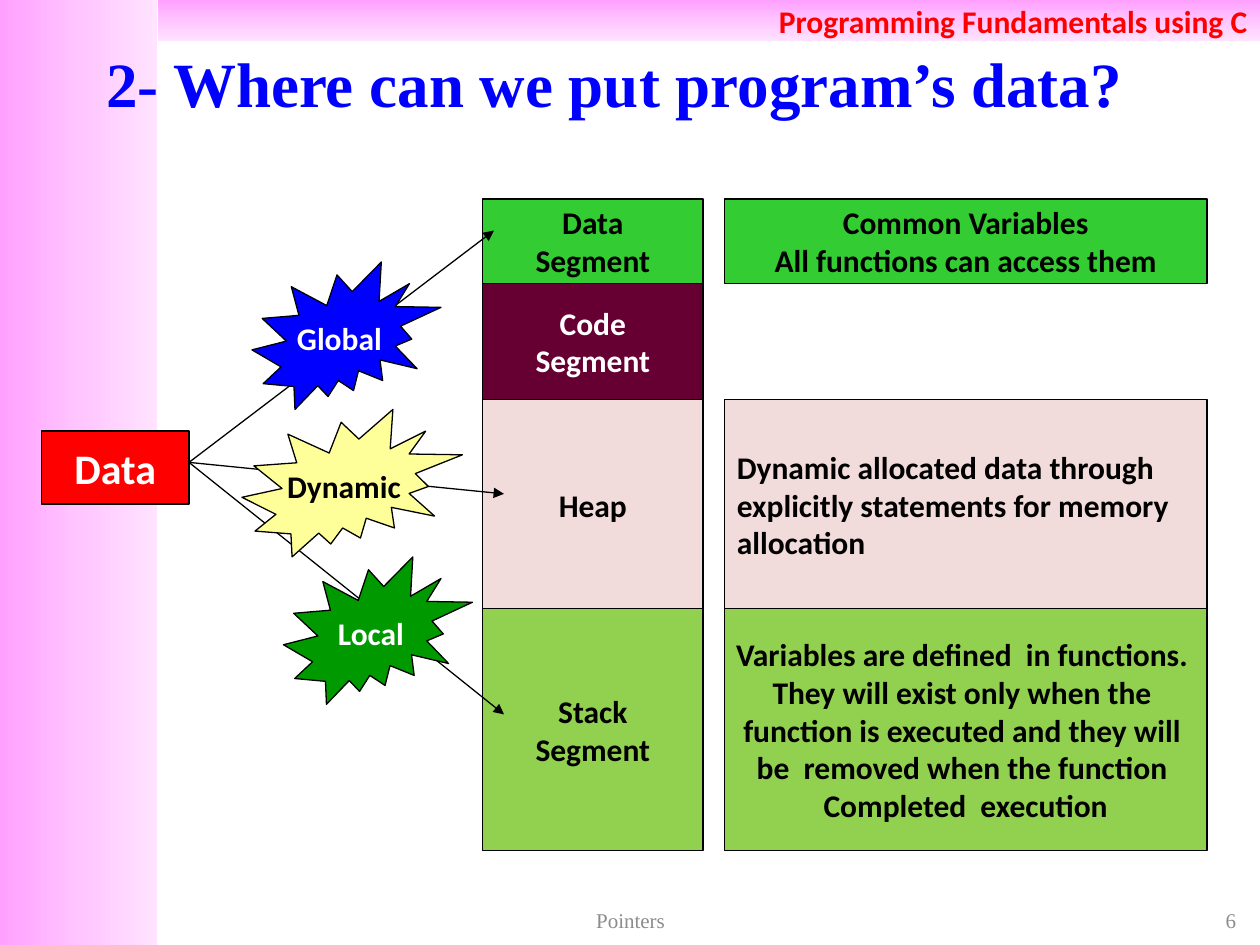
from copy import deepcopy
from dataclasses import dataclass
from typing import Optional

from lxml import etree
from pptx import Presentation
from pptx import util as u
from pptx.dml.color import RGBColor
from pptx.enum import shapes, text
from pptx.oxml import ns


@dataclass(frozen=True)
class Theme:
    sans: str = "Calibri"
    serif: str = "Times New Roman"
    black: str = "000000"
    white: str = "FFFFFF"
    red: str = "FF0000"
    blue: str = "0000FF"
    grey: str = "8C8C8C"
    green: str = "33CC33"
    wine: str = "660033"
    rose: str = "F2DCDB"
    lime: str = "92D050"
    leaf: str = "009900"
    cream: str = "FFFF99"
    fade: tuple = ("FFA0FF", "FFC5FF", "FFE3FF")
    title: int = 36
    large: int = 24
    body: int = 18
    small: int = 12
    line: float = 0.75


T = Theme()
KIND = shapes.MSO_SHAPE
ALIGN = text.PP_ALIGN
MID = text.MSO_ANCHOR.MIDDLE


@dataclass(frozen=True)
class Style:
    size: int = T.body
    color: str = T.black
    font: str = T.sans
    bold: bool = True
    align: Optional[int] = ALIGN.CENTER


@dataclass(frozen=True)
class Row:
    top: float
    tall: float
    fill: str
    name: str
    note: str = ""
    color: str = T.black
    align: Optional[int] = ALIGN.CENTER


@dataclass(frozen=True)
class Burst:
    left: float
    top: float
    wide: float
    fill: str
    name: str
    color: str
    tip: tuple


ROWS = [
    Row(1.58, 0.67, T.green, "Data\nSegment",
        "Common Variables\nAll functions can access them"),
    Row(2.25, 0.92, T.wine, "Code\nSegment", color=T.white),
    Row(3.17, 1.67, T.rose, "Heap",
        "Dynamic allocated data through \n"
        "explicitly statements for memory \nallocation", align=None),
    Row(4.83, 1.92, T.lime, "Stack\nSegment",
        "Variables are defined  in functions. \n"
        "They will exist only when the \n"
        "function is executed and they will \n"
        "be  removed when the function \nCompleted  execution"),
]
BURSTS = [
    Burst(2.25, 4.42, 1.5, T.leaf, "Local", T.white, (4, 5.67)),
    Burst(2, 2.08, 1.5, T.blue, "Global", T.white, (3.92, 1.83)),
    Burst(1.92, 3.25, 1.75, T.cream, "Dynamic", T.black, (4, 3.92)),
]
START = (1.5, 3.67)

deck = Presentation()
deck.slide_width, deck.slide_height = u.Inches(10), u.Inches(7.5)
slide = deck.slides.add_slide(deck.slide_layouts[5])
items = slide.shapes


def rgb(code: str) -> RGBColor:
    return RGBColor.from_string(code)


def inch(*vals: float) -> list:
    return [u.Inches(v) for v in vals]


def write(shape, words: str, style: Style, wrap: bool = True, anchor=MID) -> None:
    frame = shape.text_frame
    frame.text = words
    frame.word_wrap = wrap
    frame.auto_size = text.MSO_AUTO_SIZE.NONE
    frame.vertical_anchor = anchor
    for para in frame.paragraphs:
        para.alignment = style.align or ALIGN.LEFT
        for run in para.runs:
            font = run.font
            font.name, font.size = style.font, u.Pt(style.size)
            font.bold = style.bold
            font.color.rgb = rgb(style.color)


def band(left: float, top: float, wide: float, tall: float, angle: int):
    shape = items.add_shape(KIND.RECTANGLE, *inch(left, top, wide, tall))
    shape.shadow.inherit = False
    shape.line.fill.background()
    shape.fill.gradient()
    shape.fill.gradient_angle = angle
    # The middle stop is a clone of the first
    first = shape._element.spPr.find(".//" + ns.qn("a:gs"))
    first.addnext(deepcopy(first))
    for i, (stop, code) in enumerate(zip(shape.fill.gradient_stops, T.fade)):
        stop.position = i / 2
        stop.color.rgb = rgb(code)
    return shape


def block(kind, at: tuple, fill: str, words: str, style: Style) -> None:
    shape = items.add_shape(kind, *inch(*at))
    shape.shadow.inherit = False
    shape.fill.solid()
    shape.fill.fore_color.rgb = rgb(fill)
    shape.line.color.rgb = rgb(T.black)
    shape.line.width = u.Pt(T.line)
    write(shape, words, style, wrap=False)


def arrow(start: tuple, end: tuple) -> None:
    link = items.add_connector(shapes.MSO_CONNECTOR.STRAIGHT, *inch(*start, *end))
    link.line.color.rgb = rgb(T.black)
    link.line.width = u.Pt(T.line)
    etree.SubElement(link.line._get_or_add_ln(), ns.qn("a:tailEnd"), type="triangle")
    etree.SubElement(link._element.spPr, ns.qn("a:effectLst"))


def label(at: tuple, words: str, align) -> None:
    write(items.add_textbox(*inch(*at)), words,
          Style(T.small, T.grey, T.serif, False, align))


# Side and top bands
band(0, 0, 1.25, 7.5, 0)
write(band(1.25, 0, 8.75, 0.33, 270), "Programming Fundamentals using C",
      Style(color=T.red, align=ALIGN.RIGHT))

# Title, brought in front of the bands
title = items.title
title.left, title.top, title.width, title.height = inch(0, 0.3, 9.75, 0.62)
write(title, "2- Where can we put program\u2019s data?",
      Style(T.title, T.blue, T.serif), anchor=text.MSO_ANCHOR.TOP)
items._spTree.append(title._element)

# Memory segments and their notes
for row in ROWS:
    block(KIND.RECTANGLE, (3.83, row.top, 1.75, row.tall), row.fill, row.name,
          Style(color=row.color))
    if row.note:
        block(KIND.RECTANGLE, (5.75, row.top, 3.83, row.tall), row.fill, row.note,
              Style(align=row.align))

# Data source, arrows and kinds of data
block(KIND.RECTANGLE, (0.33, 3.42, 1.17, 0.58), T.red, "Data",
      Style(T.large, T.white))
for burst in BURSTS:
    arrow(START, burst.tip)
for burst in BURSTS:
    block(KIND.EXPLOSION2, (burst.left, burst.top, burst.wide, 1.17), burst.fill,
          burst.name, Style(color=burst.color))

# Footer
label((3.42, 7.17, 3.17, 0.27), "Pointers", ALIGN.CENTER)
label((7.58, 7.17, 2.33, 0.27), "6", ALIGN.RIGHT)

deck.save("out.pptx")
